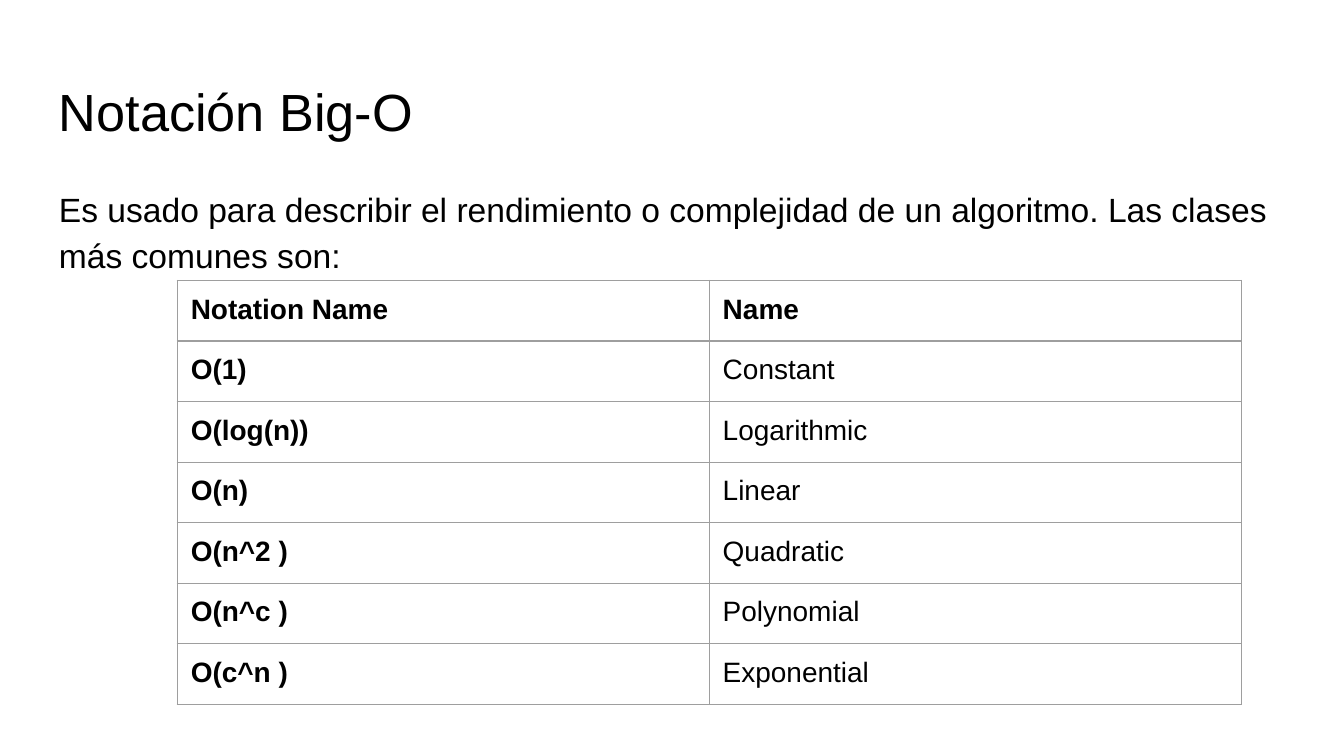
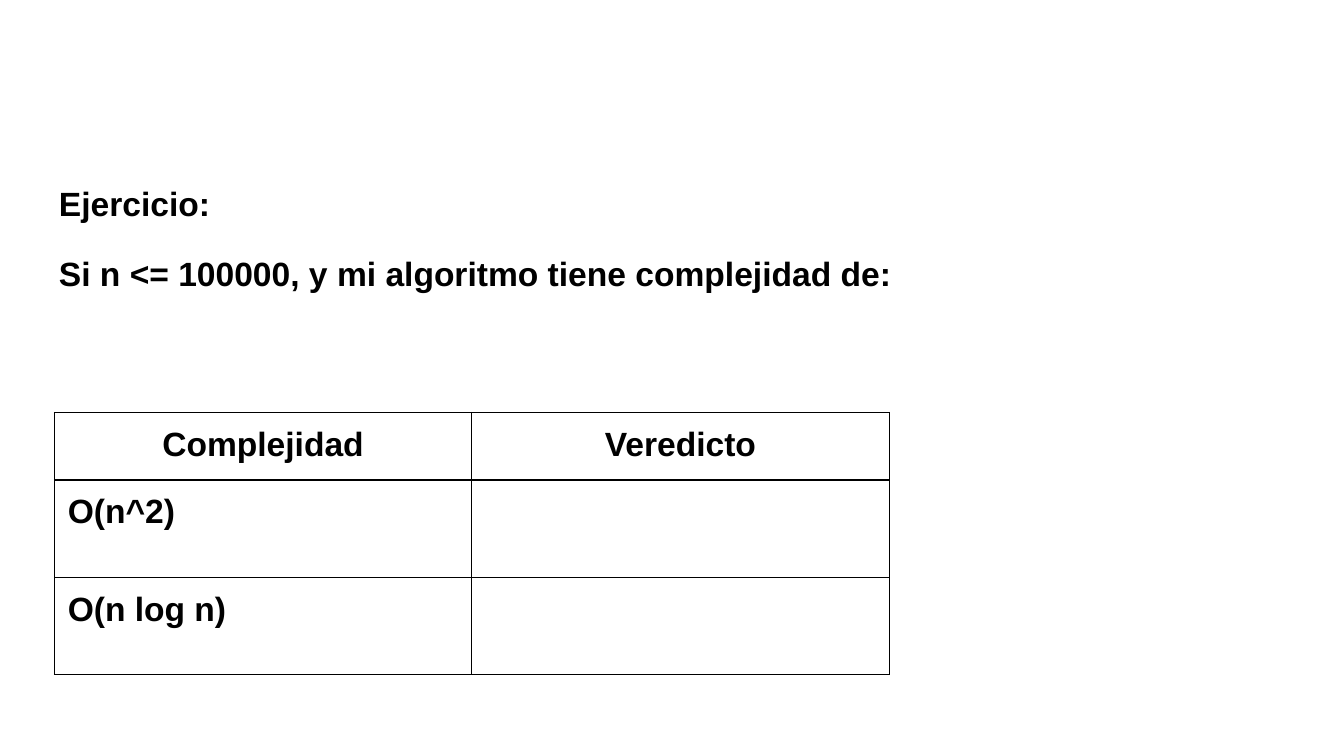
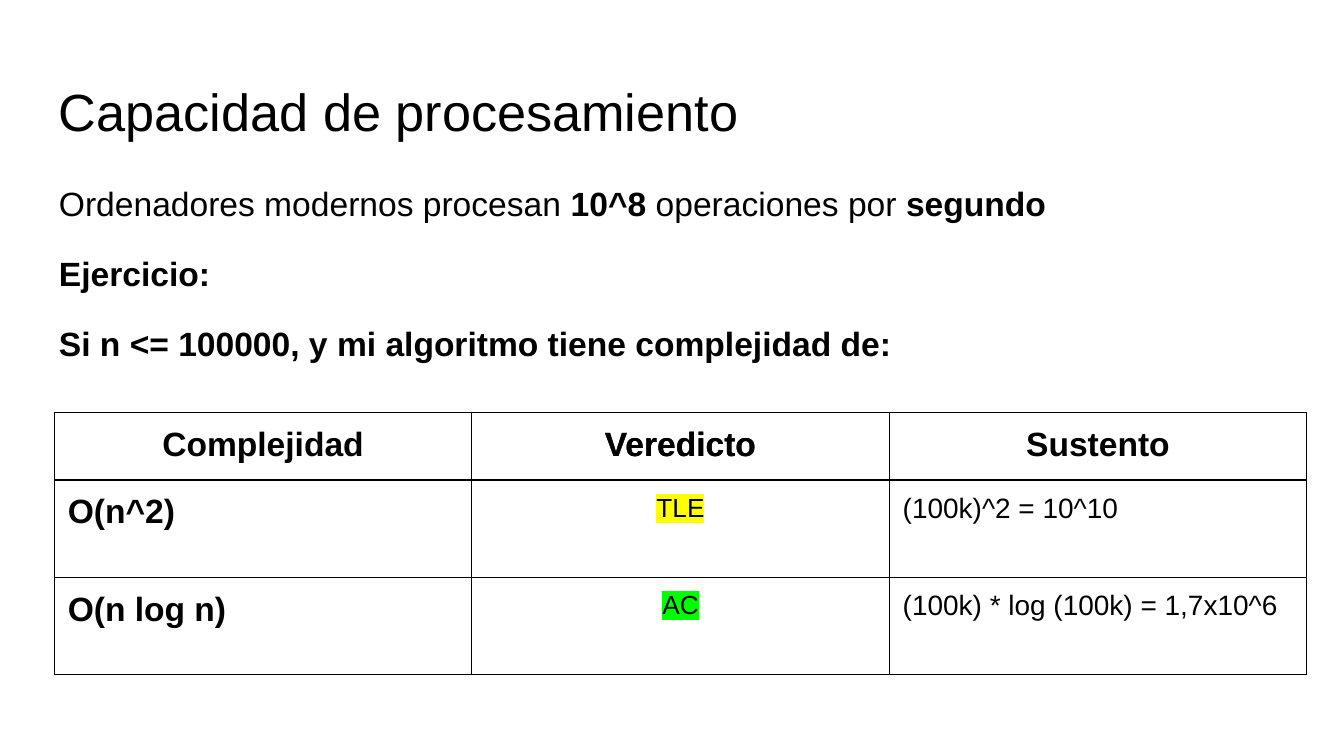
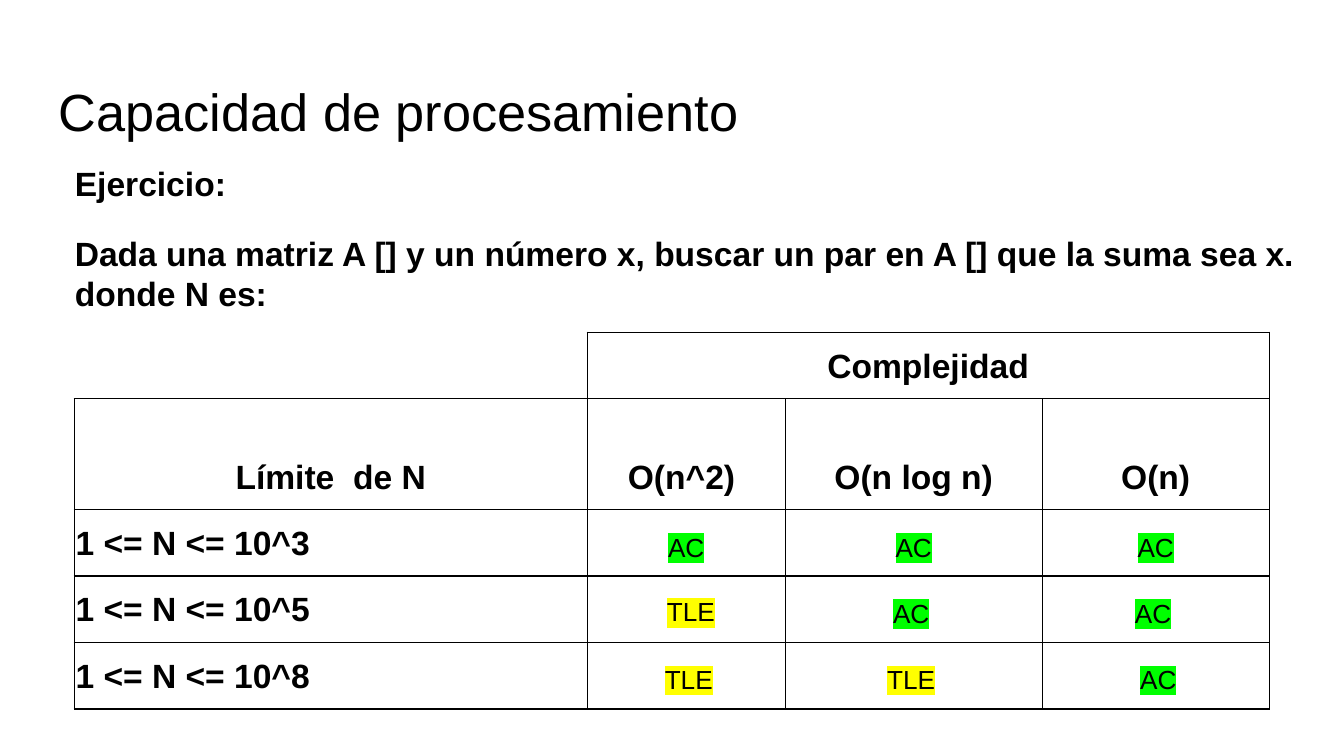
from dataclasses import dataclass

from lxml.etree import SubElement as Sub
from pptx import Presentation
from pptx.dml.color import RGBColor as Rgb
from pptx.enum.text import MSO_ANCHOR as Anchor, PP_ALIGN as Align
from pptx.oxml import parse_xml
from pptx.oxml.ns import nsdecls, qn
from pptx.util import Pt

# Shared look
COLS = {
    "ink": "000000",
    "grey": "9E9E9E",
    "paper": "FFFFFF",
    "slow": "FFFF00",
    "good": "00FF00",
}
FONT = "Arial"
PAD = (7.2, 7.2, 7.2, 7.2)
TIGHT = (0.7, 0.7, 0.7, 7.2)
LEFT, WIDE = 24.5, 671
SIDES = "LRTB"


@dataclass
class Run:
    text: str
    size: float = 18
    bold: bool = False
    mark: str = ""
    font: str = FONT


@dataclass
class Para:
    runs: list
    align: Align = Align.LEFT
    line: float = 1
    before: float = 0
    after: float = 0


def bold(text, size=18):
    return Run(text, size, True)


def head(text, line=1):
    return Para([bold(text)], Align.CENTER, line)


def item(run):
    return Para([run], after=16)


def row_name(text):
    return Para([bold(text)], line=1.15)


def mid(*runs, line=1.15):
    return Para(list(runs), Align.CENTER, line)


# Words used on several slides
SLOW = Run("TLE", 14, mark="slow")
GOOD = Run("AC", 14, mark="good")
GAP = Run(" ", 12, font="Calibri")
TASK = Para([bold("Ejercicio:")])
LIMIT = Para([bold("Si n <= 100000, y mi algoritmo tiene complejidad de:")], before=16)
POWER = "Capacidad de procesamiento"


def add_run(par, part):
    run = par.add_run()
    run.text = part.text
    font = run.font
    font.size, font.bold = Pt(part.size), part.bold
    font.color.rgb = Rgb.from_string(COLS["ink"])
    font.name = part.font
    if part.mark:
        mark = parse_xml(f'<a:highlight {nsdecls("a")}><a:srgbClr val="{COLS[part.mark]}"/></a:highlight>')
        font.color  # the fill stands before the highlight
        run._r.get_or_add_rPr().find(qn("a:solidFill")).addnext(mark)


def add_para(par, data):
    par.alignment, par.line_spacing = data.align, data.line
    par.space_before, par.space_after = Pt(data.before), Pt(data.after)
    for part in data.runs:
        add_run(par, part)


def set_pad(box, pad):
    box.margin_left, box.margin_right, box.margin_top, box.margin_bottom = map(Pt, pad)


def add_text(slide, left, top, wide, high, paras):
    box = slide.shapes.add_textbox(Pt(left), Pt(top), Pt(wide), Pt(high))
    frame = box.text_frame
    frame.word_wrap = True
    set_pad(frame, PAD)
    for num, data in enumerate(paras):
        add_para(frame.add_paragraph() if num else frame.paragraphs[0], data)


def add_title(slide, text):
    add_text(slide, LEFT, 35, WIDE, 45.1, [Para([Run(text, 28)])])


def add_body(slide, paras, left=LEFT, top=90.7, high=269):
    add_text(slide, left, top, WIDE, high, paras)


def set_edges(cell, color, sides):
    props = cell._tc.get_or_add_tcPr()
    for num, side in enumerate(SIDES):
        edge = Sub(props, qn("a:ln" + side), w=str(Pt(0.75)))
        if color and side in sides:
            fill = Sub(edge, qn("a:solidFill"))
            Sub(fill, qn("a:srgbClr"), val=COLS[color])
        else:
            Sub(edge, qn("a:noFill"))
        props.insert(num, edge)


def add_grid(slide, left, top, cols, rows, data, edge="ink", pad=PAD,
             anchor=Anchor.TOP, spans=(), open_at=None):
    shape = slide.shapes.add_table(len(rows), len(cols), Pt(left), Pt(top), Pt(sum(cols)), Pt(sum(rows)))
    table = shape.table
    table.first_row = table.horz_banding = False
    for col, wide in zip(table.columns, cols):
        col.width = Pt(wide)
    for row, high in zip(table.rows, rows):
        row.height = Pt(high)
    for r, line in enumerate(data):
        for c, para in enumerate(line):
            cell = table.cell(r, c)
            cell.vertical_anchor = anchor
            set_pad(cell, pad)
            cell.fill.background()
            set_edges(cell, edge, "RB" if (r, c) == open_at else SIDES)
            if para:
                add_para(cell.text_frame.paragraphs[0], para)
    for start, end in spans:
        table.cell(*start).merge(table.cell(*end))


# Exercise table: a name column, then answer columns
ANSWER = 223.65
EDGE = 29.1


def add_answer(slide, col, data):
    count = len(data[0])
    add_grid(slide, EDGE + col * ANSWER, 221, [ANSWER] * count, [36.2, 52.1, 52.1], data)


def add_task(slide):
    add_answer(slide, 0, [
        [head("Complejidad"), head("Veredicto")],
        [item(bold("O(n^2)")), None],
        [item(bold("O(n log n)")), None],
    ])


def big_o(slide):
    add_title(slide, "Notación Big-O")
    intro = ("Es usado para describir el rendimiento o complejidad de un algoritmo. "
             "Las clases más comunes son:")
    add_body(slide, [Para([Run(intro)], line=1.15)])
    names = [
        ("Notation Name", "Name"),
        ("O(1)", "Constant"),
        ("O(log(n))", "Logarithmic"),
        ("O(n)", "Linear"),
        ("O(n^2 )", "Quadratic"),
        ("O(n^c )", "Polynomial"),
        ("O(c^n )", "Exponential"),
    ]
    data = [[Para([bold(sign, 15)]), Para([Run(name, 15, num == 0)])]
            for num, (sign, name) in enumerate(names)]
    add_grid(slide, 95, 150.3, [285, 285], [30.24] * len(names), data, "grey")


def task(slide):
    add_body(slide, [TASK, LIMIT])
    add_task(slide)


def result(slide):
    add_title(slide, POWER)
    speed = [Run("Ordenadores modernos procesan "), bold("10^8"),
             Run(" operaciones por "), bold("segundo")]
    add_body(slide, [Para(speed), Para(TASK.runs, before=16), LIMIT])
    add_task(slide)
    add_answer(slide, 1, [[head("Veredicto")], [mid(SLOW, line=1)], [mid(GOOD, line=1)]])
    add_answer(slide, 2, [
        [head("Sustento")],
        [item(Run("(100k)^2 = 10^10", 15))],
        [item(Run("(100k) * log (100k) = 1,7x10^6", 15))],
    ])


def pair_sum(slide):
    add_title(slide, POWER)
    goal = "Dada una matriz A [] y un número x, buscar un par en A [] que la suma sea x. donde N es:"
    add_body(slide, [TASK, Para([bold(goal)], before=16)], 33, 80, 343)
    form = dict(left=39.8, top=178, cols=[274.8, 106.1, 137.7, 121.6],
                rows=[35.62, 59.46] + [35.62] * 3, pad=TIGHT,
                anchor=Anchor.BOTTOM, spans=[((0, 1), (0, 3))])
    blank = [None] * 4

    # Ruled table with the names
    kinds = [head(text, 1.15) for text in ("O(n^2) ", "O(n log n)", "O(n)")]
    limits = [[row_name(f"1 <= N <= 10^{num}"), None, None, None] for num in (3, 5, 8)]
    add_grid(slide, data=[[None, head("Complejidad", 1.15), None, None],
                          [head("Límite  de N")] + kinds] + limits,
             open_at=(0, 0), **form)

    # Verdicts laid over it
    add_grid(slide, data=[
        blank,
        blank,
        [None] + [mid(GOOD, line=1)] * 3,
        [None, mid(bold(" "), SLOW), mid(GOOD, GAP), mid(GOOD, GAP)],
        [None, mid(GAP, SLOW), mid(SLOW, GAP), mid(GAP, GOOD)],
    ], edge=None, **form)


def main():
    deck = Presentation()
    deck.slide_width, deck.slide_height = Pt(720), Pt(405)
    for build in (big_o, task, result, pair_sum):
        slide = deck.slides.add_slide(deck.slide_layouts[6])
        slide.background.fill.solid()
        slide.background.fill.fore_color.rgb = Rgb.from_string(COLS["paper"])
        build(slide)
    deck.save("out.pptx")


if __name__ == "__main__":
    main()
